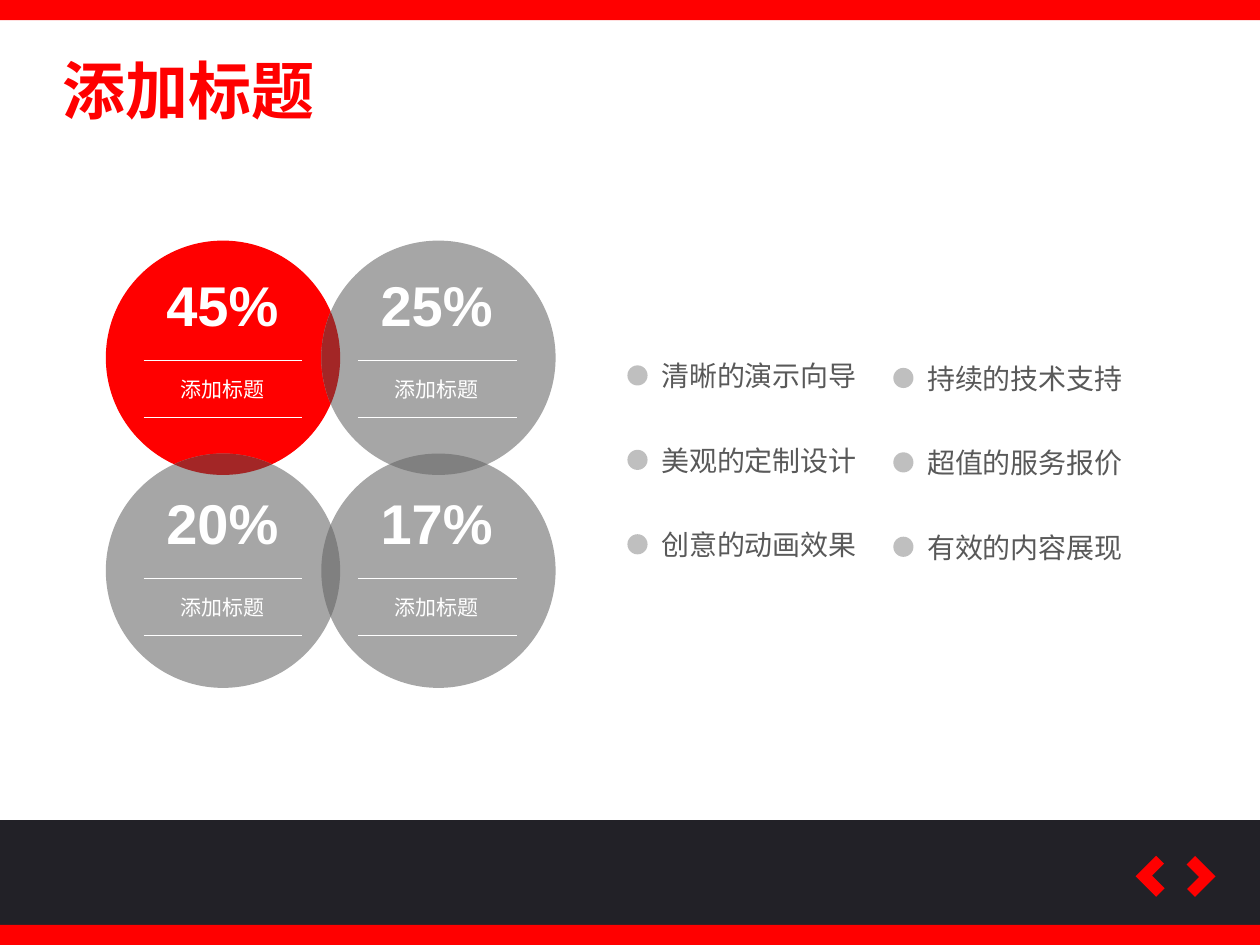
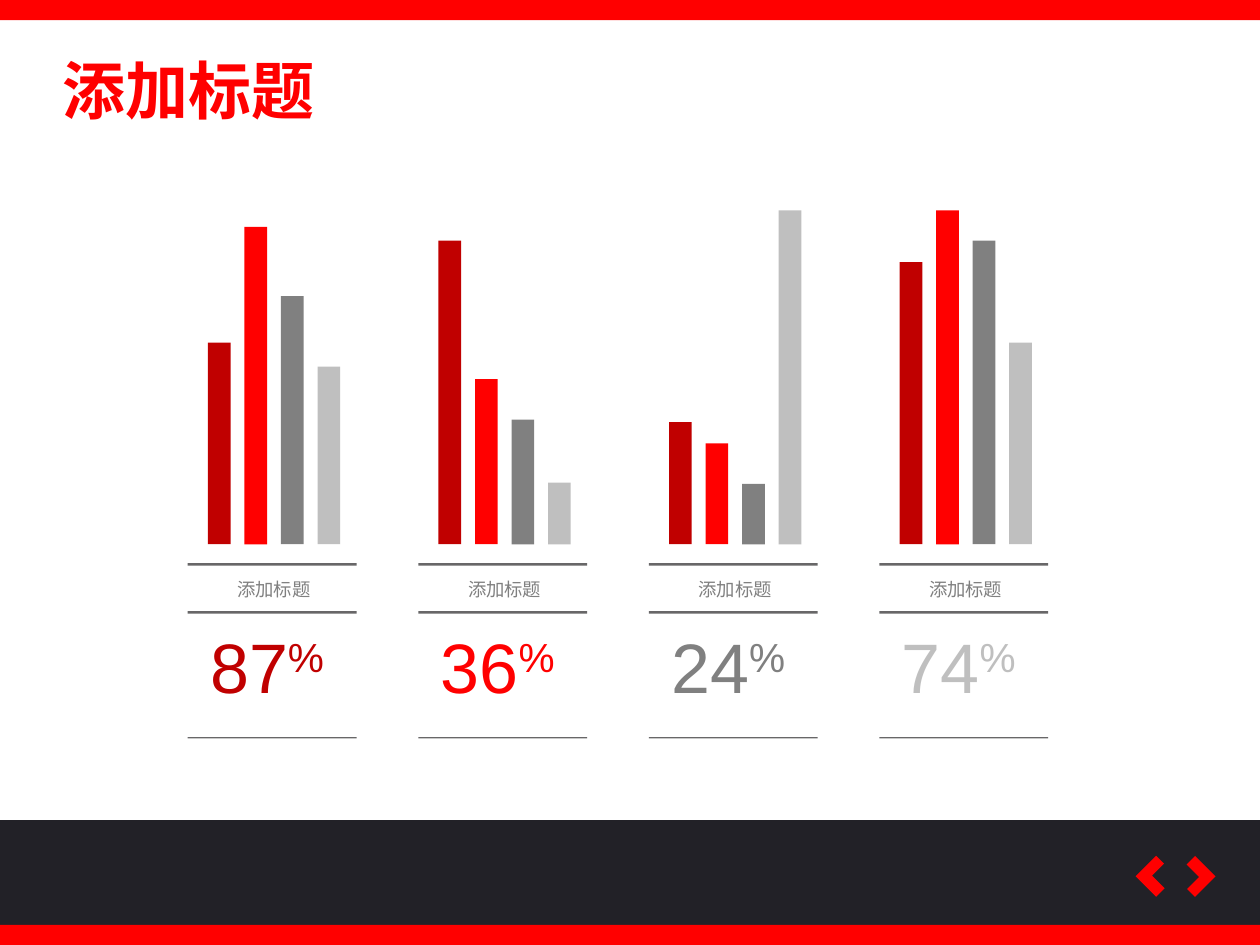
from math import acos, cos, sin

from lxml.etree import SubElement
from pptx import Presentation
from pptx.dml.color import RGBColor
from pptx.enum.shapes import MSO_CONNECTOR as Connector, MSO_SHAPE as Shape
from pptx.enum.text import PP_ALIGN as Align
from pptx.oxml.ns import qn
from pptx.util import Inches, Pt

COLORS = {
    "red": "FF0000", "dark_red": "C00000", "overlap_red": "A32626",
    "navy": "222127", "circle": "A6A6A6", "gray": "808080",
    "light": "BFBFBF", "body": "595959", "rule": "686768", "white": "FFFFFF",
}
LATIN = "Arial"
CHINESE = "Noto Sans CJK SC"
SLIDE_WIDTH, SLIDE_HEIGHT = 10, 7.5
BAND = 0.16
HEADING = "添加标题"
BAR_COLORS = ("dark_red", "red", "gray", "light")
PANELS = (
    ("87", (1.6, 2.52, 1.97, 1.41)),
    ("36", (2.41, 1.31, 0.99, 0.49)),
    ("24", (0.97, 0.8, 0.48, 2.65)),
    ("74", (2.24, 2.65, 2.41, 1.6)),
)


def paint(shape, color):
    shape.shadow.inherit = False
    shape.fill.solid()
    shape.fill.fore_color.rgb = RGBColor.from_string(COLORS[color])
    shape.line.fill.background()
    return shape


def add_block(page, box, color, kind=Shape.RECTANGLE):
    shape = page.shapes.add_shape(kind, *[Inches(length) for length in box])
    return paint(shape, color)


def add_rule(page, left, top, width, color):
    rule = page.shapes.add_connector(
        Connector.STRAIGHT, Inches(left), Inches(top), Inches(left + width), Inches(top))
    rule.line.color.rgb = RGBColor.from_string(COLORS[color])
    rule.line.width = Pt(0.5)
    SubElement(rule._element.spPr, qn("a:effectLst"))


def add_text(page, text, box, size, color, font=CHINESE, bold=False,
             align=Align.LEFT, wrap=True, raised=""):
    frame = page.shapes.add_textbox(*[Inches(length) for length in box]).text_frame
    frame.word_wrap = wrap
    para = frame.paragraphs[0]
    para.alignment = align
    for part, baseline in ((text, 0), (raised, 30000)):
        if not part:
            continue
        span = para.add_run()
        span.text = part
        span.font.size = Pt(size)
        span.font.bold = bold
        span.font.color.rgb = RGBColor.from_string(COLORS[color])
        span.font.name = font
        properties = span._r.get_or_add_rPr()
        SubElement(properties, qn("a:ea")).set("typeface", font)
        if baseline:
            properties.set("baseline", str(baseline))


def add_page(deck):
    page = deck.slides.add_slide(deck.slide_layouts[6])
    add_block(page, (0, 6.51, SLIDE_WIDTH, 0.84), "navy")
    for top in (0, SLIDE_HEIGHT - BAND):
        add_block(page, (0, top, SLIDE_WIDTH, BAND), "red")
    for left, rotation in ((9.06, 45), (9.37, 225)):
        chevron = add_block(page, (left, 6.84, 0.23, 0.23), "red", Shape.CORNER)
        chevron.adjustments[0] = 0.415
        chevron.adjustments[1] = 0.386
        chevron.rotation = rotation
    add_text(page, HEADING, (0.4, 0.36, 2.22, 0.71), 36, "red", bold=True, wrap=False)
    return page


def add_lens(page, center, radius, distance, upright, color):
    half_angle = acos(distance / 2 / radius)
    steps = 24
    points = []
    for side in (1, -1):
        for step in range(steps):
            angle = half_angle * (2 * step / steps - 1)
            across = side * (radius * cos(angle) - distance / 2)
            along = side * radius * sin(angle)
            offset = (across, along) if upright else (along, across)
            points.append(tuple(Inches(c + o) for c, o in zip(center, offset)))
    outline = page.shapes.build_freeform(*points[0])
    outline.add_line_segments(points[1:], close=True)
    paint(outline.convert_to_shape(), color)


def add_circles(page, left, top, shares):
    radius, across, down = 0.93, 1.71, 1.69
    for index in range(len(shares)):
        row, column = divmod(index, 2)
        box = (left + column * across, top + row * down, 2 * radius, 2 * radius)
        add_block(page, box, "circle" if index else "red", Shape.OVAL)
    for index, color in enumerate(("overlap_red", "gray")):
        beside = (left + radius + across / 2, top + radius + index * down)
        below = (left + radius + index * across, top + radius + down / 2)
        add_lens(page, beside, radius, across, True, color)
        add_lens(page, below, radius, down, False, color)
    for index, share in enumerate(shares):
        row, column = divmod(index, 2)
        x, y = left + 0.3 + column * 1.7, top + row * 1.73
        add_text(page, share, (x + 0.08, y + 0.19, 1.09, 0.64), 32, "white",
                 font=LATIN, bold=True, align=Align.CENTER)
        add_text(page, HEADING, (x + 0.08, y + 1.03, 1.09, 0.3), 12, "white",
                 align=Align.CENTER)
        for offset in (0.95, 1.4):
            add_rule(page, x, y + offset, 1.26, "white")


def add_points(page, left, top, points):
    for index, point in enumerate(points):
        y = top + index * 0.67
        add_block(page, (left, y + 0.1, 0.16, 0.16), "light", Shape.OVAL)
        add_text(page, point, (left + 0.17, y, 2.18, 0.37), 16, "body",
                 align=Align.JUSTIFY)


def add_bar_panel(page, left, base, heights, number, color):
    for index, (height, bar_color) in enumerate(zip(heights, BAR_COLORS)):
        box = (left + 0.16 + index * 0.29, base - height, 0.18, height)
        add_block(page, box, bar_color)
    for offset, thickness in ((0.15, 0.02), (0.53, 0.02), (1.53, 0.01)):
        add_block(page, (left, base + offset, 1.34, thickness), "rule")
    add_text(page, HEADING, (left + 0.2, base + 0.22, 0.97, 0.34), 10.5, "gray",
             align=Align.CENTER)
    add_text(page, number, (left + 0.08, base + 0.58, 1.6, 0.77), 40, color,
             font=LATIN, raised="%")


def build_circles_page(deck):
    page = add_page(deck)
    add_circles(page, 0.84, 1.91, ("45%", "25%", "20%", "17%"))
    add_points(page, 4.98, 2.8, ("清晰的演示向导", "美观的定制设计", "创意的动画效果"))
    add_points(page, 7.09, 2.82, ("持续的技术支持", "超值的服务报价", "有效的内容展现"))


def build_bars_page(deck):
    page = add_page(deck)
    for index, ((number, heights), color) in enumerate(zip(PANELS, BAR_COLORS)):
        add_bar_panel(page, 1.49 + index * 1.83, 4.32, heights, number, color)


def main():
    deck = Presentation()
    deck.slide_width = Inches(SLIDE_WIDTH)
    deck.slide_height = Inches(SLIDE_HEIGHT)
    build_circles_page(deck)
    build_bars_page(deck)
    deck.save("out.pptx")


if __name__ == "__main__":
    main()
